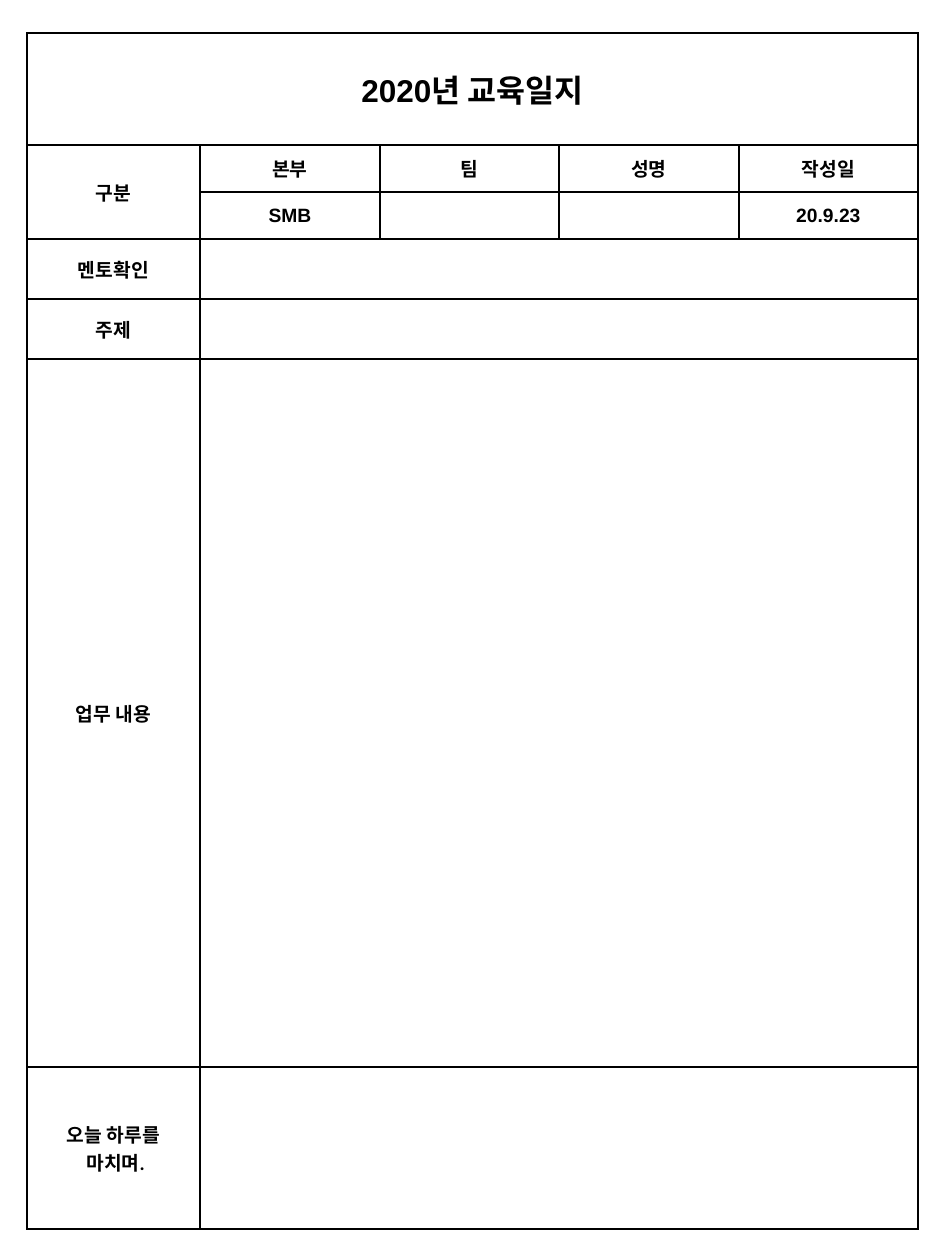
import dataclasses

import lxml.etree
import pptx
import pptx.dml.color
import pptx.enum.text
import pptx.oxml.ns
import pptx.util

PIXEL = 914400 // 126


@dataclasses.dataclass(frozen=True)
class Theme:
    ink: str = "000000"
    paper: str = "FFFFFF"
    title_size: int = 18
    label_size: int = 11
    border_width: int = 1
    latin_font: str = "Arial"
    korean_font: str = "Calibri"


THEME = Theme()
COLUMN_WIDTHS = [173, 180, 179, 180, 179]
ROW_HEIGHTS = [112, 47, 47, 60, 60, 708, 162]
MERGES = [((0, 0), (0, 4)), ((1, 0), (2, 0))]
MERGES += [((row, 1), (row, 4)) for row in range(3, 7)]
ENTRIES = {
    (1, 0): "구분",
    (1, 1): "본부",
    (1, 2): "팀",
    (1, 3): "성명",
    (1, 4): "작성일",
    (3, 0): "멘토확인",
    (4, 0): "주제",
    (5, 0): "업무 내용",
    (6, 0): "오늘 하루를\n 마치며.",
}
VALUES = {(2, 1): "SMB", (2, 4): "20.9.23"}


def px(length):
    return pptx.util.Emu(length * PIXEL)


def add_element(parent, tag, **attributes):
    return lxml.etree.SubElement(parent, pptx.oxml.ns.qn(tag), attributes)


def style_cell(cell):
    cell.vertical_anchor = pptx.enum.text.MSO_ANCHOR.MIDDLE
    cell.margin_top = cell.margin_bottom = px(4)
    properties = cell._tc.get_or_add_tcPr()
    for side in ("a:lnL", "a:lnR", "a:lnT", "a:lnB"):
        width = str(pptx.util.Pt(THEME.border_width))
        border = add_element(properties, side, w=width)
        add_element(add_element(border, "a:solidFill"), "a:srgbClr", val=THEME.ink)
    cell.fill.solid()
    cell.fill.fore_color.rgb = pptx.dml.color.RGBColor.from_string(THEME.paper)
    paragraph = cell.text_frame.paragraphs[0]
    add_element(paragraph._p, "a:endParaRPr", sz=str(THEME.label_size * 100))


def write(cell, text, font_name, size):
    cell.text_frame.text = text
    for paragraph in cell.text_frame.paragraphs:
        paragraph.alignment = pptx.enum.text.PP_ALIGN.CENTER
        for run in paragraph.runs:
            run.font.name = font_name
            run.font.size = pptx.util.Pt(size)
            run.font.bold = True
            run.font.color.rgb = pptx.dml.color.RGBColor.from_string(THEME.ink)


def add_journal(slide):
    journal = slide.shapes.add_table(
        len(ROW_HEIGHTS), len(COLUMN_WIDTHS), px(27), px(33),
        px(sum(COLUMN_WIDTHS)), px(sum(ROW_HEIGHTS)),
    ).table
    journal.first_row = journal.horz_banding = False
    for column, width in zip(journal.columns, COLUMN_WIDTHS):
        column.width = px(width)
    for row, height in zip(journal.rows, ROW_HEIGHTS):
        row.height = px(height)
    for cell in journal.iter_cells():
        style_cell(cell)
    for first, last in MERGES:
        journal.cell(*first).merge(journal.cell(*last))
    return journal


def main():
    deck = pptx.Presentation()
    deck.slide_width, deck.slide_height = px(945), px(1260)
    slide = deck.slides.add_slide(deck.slide_layouts[6])
    journal = add_journal(slide)
    write(journal.cell(0, 0), "2020년 교육일지", THEME.latin_font, THEME.title_size)
    for entries, font_name in ((ENTRIES, THEME.korean_font), (VALUES, THEME.latin_font)):
        for position, text in entries.items():
            write(journal.cell(*position), text, font_name, THEME.label_size)
    deck.save("out.pptx")


main()
